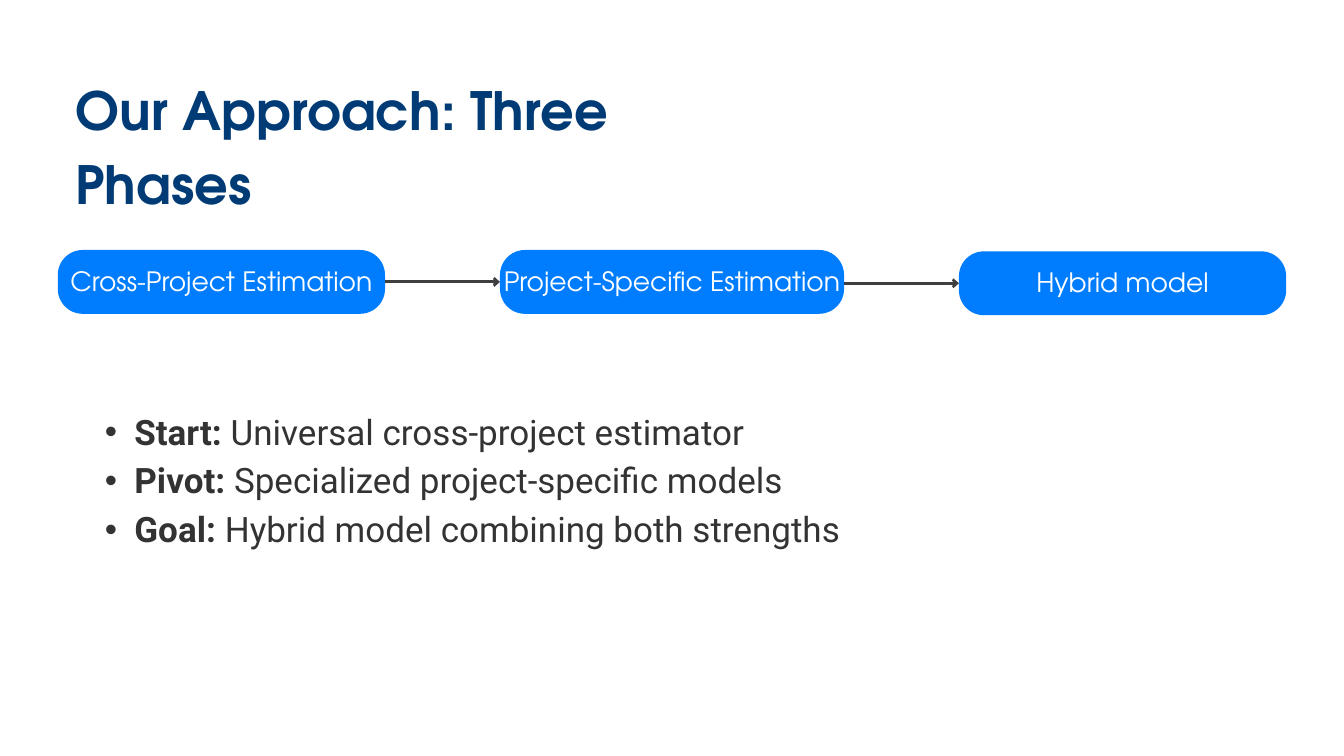
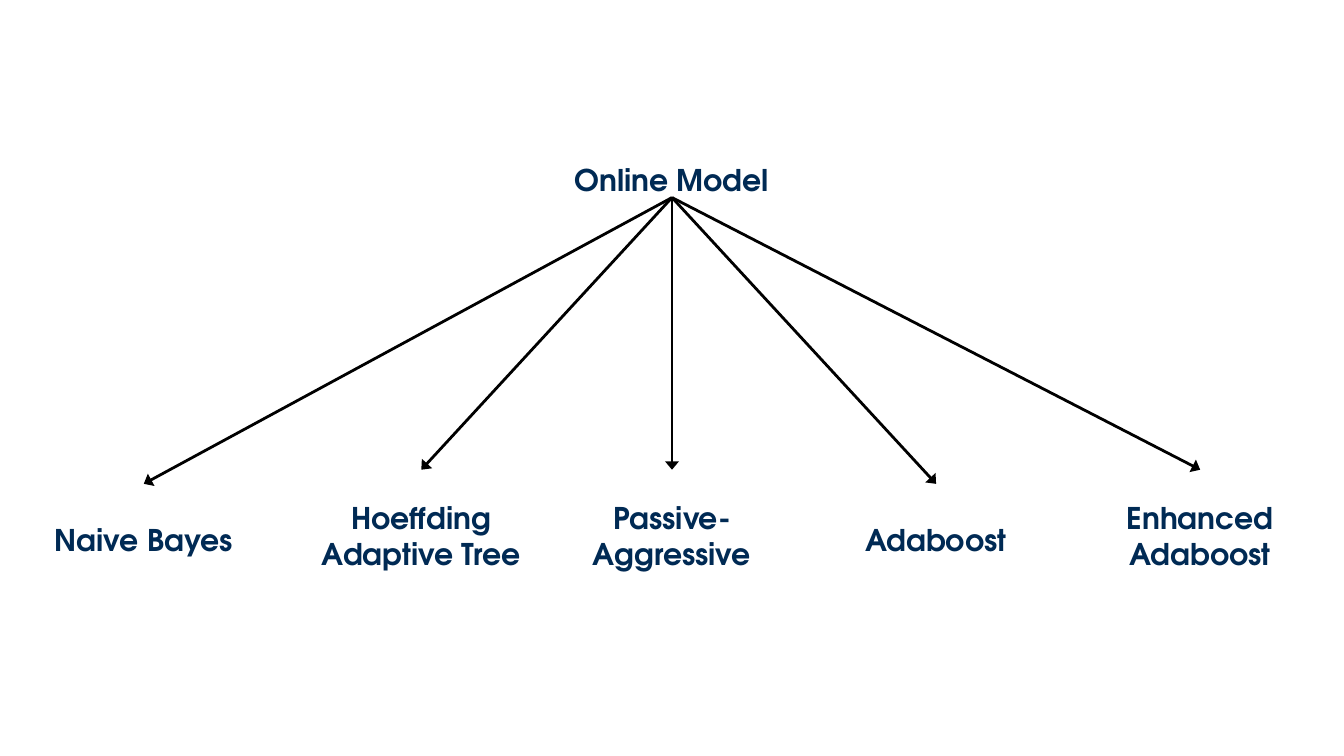
import pptx
import pptx.util
import pptx.dml.color
import pptx.enum.shapes
import pptx.enum.text
import pptx.oxml
import pptx.oxml.ns

Inches, Pt = pptx.util.Inches, pptx.util.Pt
ALIGN = pptx.enum.text.PP_ALIGN
ANCHOR = pptx.enum.text.MSO_ANCHOR
SHAPE = pptx.enum.shapes.MSO_SHAPE
color = pptx.dml.color.RGBColor.from_string

HEAD_FONT, BODY_FONT = "TeX Gyre Adventor", "Roboto"
TITLE = dict(name=HEAD_FONT, size=56.5, bold=True, color="003B76", spacing=79.2)
PHASE = dict(name=HEAD_FONT, size=28.5, bold=False, color="FFFFFF", spacing=34.2)
BODY = dict(name=BODY_FONT, size=37.5, bold=False, color="333333", spacing=52.4)
NODE = dict(name=HEAD_FONT, size=32, bold=True, color="002A54", spacing=38.4)


def write(sp, paragraphs, style, align, anchor=ANCHOR.TOP, margins=(0, 0, 0, 0)):
    """Fill a shape with paragraphs, each a list of (text, bold) runs."""
    tf = sp.text_frame
    tf.word_wrap = True
    tf.vertical_anchor = anchor
    for side, margin in zip(("left", "top", "right", "bottom"), margins):
        setattr(tf, f"margin_{side}", Inches(margin))
    for i, runs in enumerate(paragraphs):
        p = tf.add_paragraph() if i else tf.paragraphs[0]
        p.alignment = align
        p.line_spacing = Pt(style["spacing"])
        for text, bold in runs:
            r = p.add_run()
            r.text = text
            values = {"name": style["name"], "size": Pt(style["size"]), "bold": bold}
            for key, value in values.items():
                setattr(r.font, key, value)
            r.font.color.rgb = color(style["color"])
    return tf


def arrow(s, start, end, line_color, head, width, length):
    x1, y1, x2, y2 = map(Inches, start + end)
    cn = s.shapes.add_connector(pptx.enum.shapes.MSO_CONNECTOR.STRAIGHT, x1, y1, x2, y2)
    cn.line.color.rgb = color(line_color)
    cn.line.width = Pt(3)
    ns = pptx.oxml.ns.nsdecls("a")
    cn.line._get_or_add_ln().append(pptx.oxml.parse_xml(
        f'<a:tailEnd {ns} type="{head}" w="{width}" len="{length}"/>'))
    cn._element.spPr.append(pptx.oxml.parse_xml(f"<a:effectLst {ns}/>"))


prs = pptx.Presentation()
prs.slide_width, prs.slide_height = Inches(20), Inches(11.25)
blank = prs.slide_layouts[6]

# Slide 1: three phases
s = prs.slides.add_slide(blank)
title = s.shapes.add_textbox(Inches(1.12), Inches(1), Inches(10.68), Inches(1.06))
write(title, [[("Our Approach: Three Phases", True)]], TITLE, ALIGN.LEFT)

phase_height = 0.95
phases = [
    ("Cross-Project Estimation", 0.86, 3.72, 4.87),
    ("Project-Specific Estimation", 7.44, 3.72, 5.12),
    ("Hybrid model", 14.27, 3.74, 4.87),
]
for text, left, top, width in phases:
    sp = s.shapes.add_shape(SHAPE.ROUNDED_RECTANGLE, Inches(left), Inches(top),
                            Inches(width), Inches(phase_height))
    sp.shadow.inherit = False
    sp.adjustments[0] = 0.39
    sp.fill.solid()
    sp.fill.fore_color.rgb = color("007DFE")
    sp.line.fill.background()
    tf = write(sp, [[(text, False)]], PHASE, ALIGN.CENTER, ANCHOR.MIDDLE,
               (0.06, 0.02, 0.06, 0.06))
    tf.word_wrap = False

for (_, left, _, width), (_, next_left, next_top, _) in zip(phases, phases[1:]):
    y = next_top + phase_height / 2
    arrow(s, (left + width, y), (next_left, y), "3F3F3F", "arrow", "med", "sm")

steps = [
    ("Start: ", "Universal cross-project estimator"),
    ("Pivot: ", "Specialized project-specific models"),
    ("Goal: ", "Hybrid model combining both strengths"),
]
body = s.shapes.add_textbox(Inches(1.12), Inches(6), Inches(12.82), Inches(2.14))
tf = write(body, [[(label, True), (text, False)] for label, text in steps],
           BODY, ALIGN.JUSTIFY)
for p in tf.paragraphs:
    pPr = p._p.get_or_add_pPr()
    pPr.set("marL", str(Inches(0.88)))
    pPr.set("indent", str(Inches(-0.44)))
    for tag in ('buFont {} typeface="Arial"', 'buChar {} char="•"'):
        pPr.append(pptx.oxml.parse_xml(f"<a:{tag.format(pptx.oxml.ns.nsdecls('a'))}/>"))

# Slide 2: model tree
s = prs.slides.add_slide(blank)
root_x, root_bottom = 10, 2.94
root = s.shapes.add_textbox(Inches(7.59), Inches(1.99), Inches(4.81), Inches(0.95))
write(root, [[("Online Model", True)]], NODE, ALIGN.CENTER, ANCHOR.BOTTOM)

leaf_width, leaf_middle = 3.06, 7.745
one_line, two_lines = 1.09, 1.51
leaves = [
    ("Naive Bayes", 2.14, one_line),
    ("Hoeffding Adaptive Tree", 6.27, two_lines),
    ("Passive-Aggressive", 10, two_lines),
    ("Adaboost", 13.93, one_line),
    ("Enhanced Adaboost", 17.86, two_lines),
]
for text, center, height in leaves:
    top = leaf_middle - height / 2
    leaf = s.shapes.add_textbox(Inches(center - leaf_width / 2), Inches(top),
                                Inches(leaf_width), Inches(height))
    write(leaf, [[(text, True)]], NODE, ALIGN.CENTER, ANCHOR.BOTTOM)
    arrow(s, (root_x, root_bottom), (center, top), "000000", "triangle", "lg", "med")

prs.save("out.pptx")
